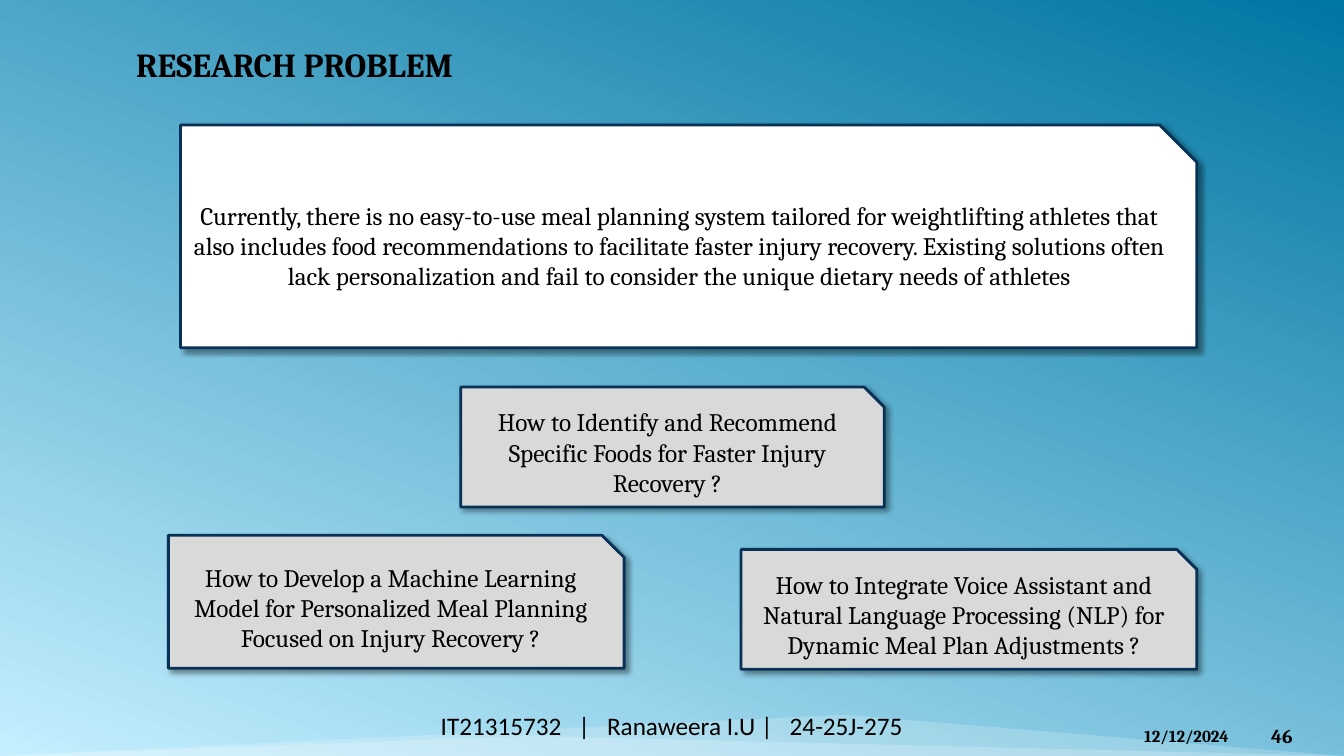
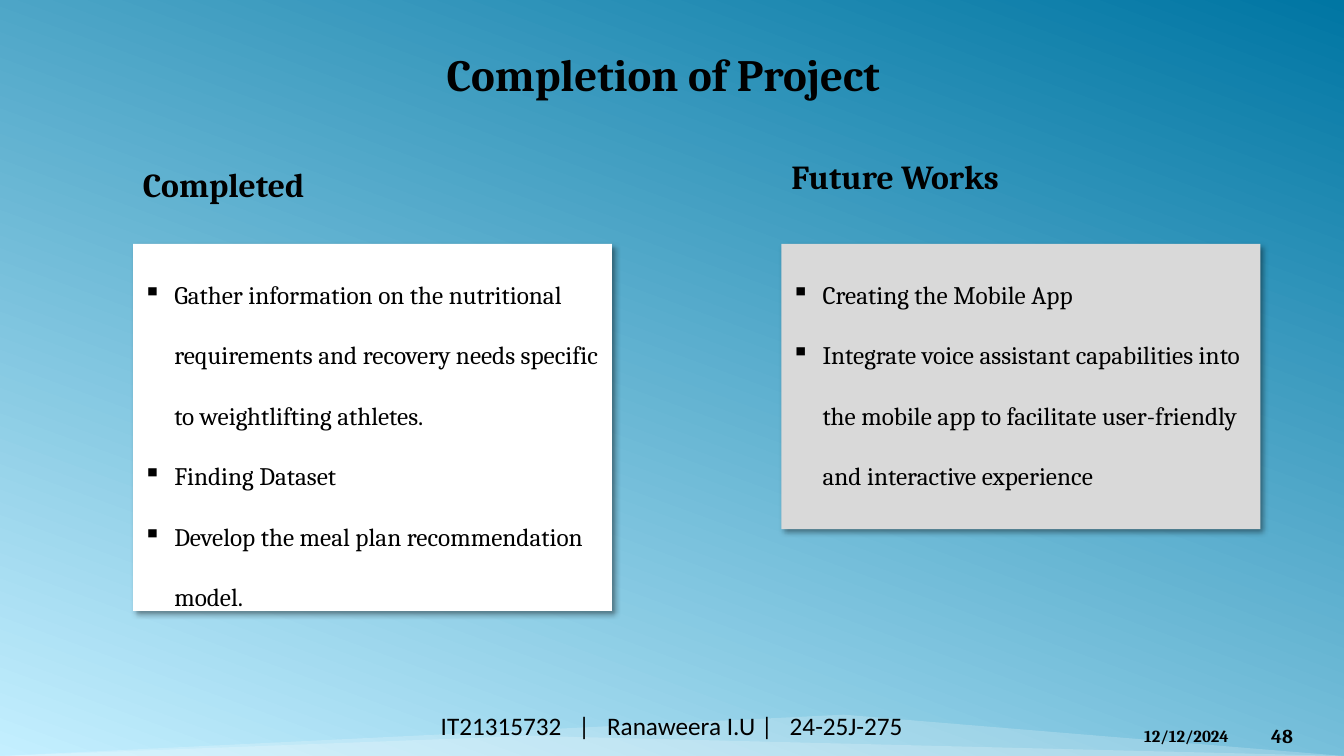
import lxml.etree
import pptx
import pptx.dml.color
import pptx.enum.shapes
import pptx.enum.text
import pptx.oxml
import pptx.oxml.ns
import pptx.util

Inches = pptx.util.Inches
Pt = pptx.util.Pt
SHAPES = pptx.enum.shapes.MSO_SHAPE
ALIGN = pptx.enum.text.PP_ALIGN
ANCHOR = pptx.enum.text.MSO_ANCHOR
qn = pptx.oxml.ns.qn

WHITE, GREY, BLACK, NAVY = "FFFFFF", "D9D9D9", "000000", "073157"
SKY_TOP, SKY_BOTTOM = "0076A3", "C4EFFF"
BODY = {"name": "Cambria", "size": Pt(18), "bold": False}
HEADING = {**BODY, "size": Pt(24), "bold": True}
LARGE_TITLE = {**HEADING, "size": Pt(32)}
DATE = {**HEADING, "size": Pt(12)}
NUMBER = {**HEADING, "size": Pt(14)}
FOOTER = {**BODY, "name": "Calibri"}


def color(value):
    return pptx.dml.color.RGBColor.from_string(value)


def add_element(parent, tag, **attributes):
    values = {name: str(value) for name, value in attributes.items()}
    return lxml.etree.SubElement(parent, qn(tag), values)


class Deck:
    def __init__(self):
        self.presentation = pptx.Presentation()
        self.presentation.slide_width = Inches(13.33)
        self.presentation.slide_height = Inches(7.5)
        self.slide = None
        fill = self.presentation.slide_master.background.fill
        fill.gradient()
        fill.gradient_angle = 250
        for stop, value in zip(fill.gradient_stops, (SKY_TOP, SKY_BOTTOM)):
            stop.color.rgb = color(value)

    def add_slide(self, title, box, style, number):
        layout = self.presentation.slide_layouts[5]
        self.slide = self.presentation.slides.add_slide(layout)
        self.band(7.09, 0.41, 0.628)
        self.band(7.3, 0.2, 0.394)
        self.text("12/12/2024", (11.25, 7.15, 1.17, 0.3), DATE)
        self.text(number, (12.51, 7.1, 0.74, 0.4), NUMBER, anchor=ANCHOR.MIDDLE)
        self.text("IT21315732   |   Ranaweera I.U |   24-25J-275",
                  (3.33, 7, 6.67, 0.4), FOOTER, ALIGN.CENTER)
        shape = self.slide.shapes.title
        shape.left, shape.top, shape.width, shape.height = map(Inches, box)
        self.fill_text(shape, [title], style)

    def fill_text(self, shape, lines, style, align=ALIGN.LEFT, anchor=ANCHOR.TOP,
                  bullets=False):
        frame = shape.text_frame
        frame.word_wrap = True
        frame.auto_size = pptx.enum.text.MSO_AUTO_SIZE.NONE
        frame.vertical_anchor = anchor
        for index, line in enumerate(lines):
            paragraph = frame.add_paragraph() if index else frame.paragraphs[0]
            paragraph.text = line
            paragraph.alignment = align
            if bullets:
                paragraph.line_spacing = 2.0
                properties = paragraph._p.get_or_add_pPr()
                properties.set("marL", str(Inches(0.31)))
                properties.set("indent", str(Inches(-0.31)))
                add_element(properties, "a:buChar", char="▪")
            for name, value in style.items():
                setattr(paragraph.font, name, value)
            paragraph.font.color.rgb = color(BLACK)

    def text(self, line, box, style, align=ALIGN.LEFT, anchor=ANCHOR.TOP):
        shape = self.slide.shapes.add_textbox(*map(Inches, box))
        self.fill_text(shape, [line], style, align, anchor)

    def shape(self, kind, box, fill, outline=None):
        shape = self.slide.shapes.add_shape(kind, *map(Inches, box))
        shape.shadow.inherit = False
        shape.fill.solid()
        shape.fill.fore_color.rgb = color(fill)
        if outline:
            shape.line.color.rgb = color(outline)
            shape.line.width = Pt(2)
        else:
            shape.line.fill.background()
        return shape

    def band(self, top, height, peak):
        shape = self.shape(SHAPES.ISOSCELES_TRIANGLE, (0, top, 13.33, height), WHITE)
        shape.adjustments[0] = peak
        solid = shape._element.spPr.find(qn("a:solidFill"))
        add_element(solid[0], "a:alpha", val=20000)

    def add_shadow(self, shape):
        effects = shape._element.spPr.find(qn("a:effectLst"))
        shadow = add_element(effects, "a:outerShdw", blurRad=Pt(4), dist=Pt(3),
                             dir=45 * 60000, algn="tl", rotWithShape=0)
        tint = add_element(shadow, "a:srgbClr", val=BLACK)
        add_element(tint, "a:alpha", val=40000)

    def card(self, line, box, fill=GREY):
        shape = self.shape(SHAPES.SNIP_1_RECTANGLE, box, fill, NAVY)
        self.add_shadow(shape)
        self.fill_text(shape, [line], BODY, ALIGN.CENTER, ANCHOR.MIDDLE)

    def bullet_panel(self, lines, box, fill):
        shape = self.shape(SHAPES.RECTANGLE, box, fill)
        self.add_shadow(shape)
        self.fill_text(shape, lines, BODY, bullets=True)


def build_research_problem(deck):
    deck.add_slide("RESEARCH PROBLEM", (1.25, 0.39, 6.67, 0.5), HEADING, "46")
    deck.card("How to Develop a Machine Learning Model for Personalized Meal "
              "Planning Focused on Injury Recovery ?", (1.67, 5.31, 4.52, 1.32))
    deck.card("How to Integrate Voice Assistant and Natural Language Processing "
              "(NLP) for Dynamic Meal Plan Adjustments ?", (7.35, 5.45, 4.52, 1.19))
    deck.card("How to Identify and Recommend Specific Foods for Faster Injury "
              "Recovery ?", (4.57, 3.84, 4.2, 1.19))
    deck.card("Currently, there is no easy-to-use meal planning system tailored for "
              "weightlifting athletes that also includes food recommendations to "
              "facilitate faster injury recovery. Existing solutions often lack "
              "personalization and fail to consider the unique dietary needs of "
              "athletes", (1.79, 1.24, 10.08, 2.21), WHITE)


def build_completion(deck):
    deck.add_slide("Completion of Project", (4.33, 0.41, 5.17, 0.64), LARGE_TITLE, "48")
    deck.text("Completed", (1.32, 1.58, 2.67, 0.5), HEADING)
    deck.bullet_panel([
        "Gather information on the nutritional requirements and recovery needs "
        "specific to weightlifting athletes.",
        "Finding Dataset",
        "Develop the meal plan recommendation model.",
    ], (1.32, 2.42, 4.75, 3.64), WHITE)
    deck.text("Future Works", (7.75, 1.5, 4.26, 0.5), HEADING)
    deck.bullet_panel([
        "Creating the Mobile App",
        "Integrate voice assistant capabilities into the mobile app to facilitate "
        "user-friendly and interactive experience",
    ], (7.75, 2.42, 4.75, 2.83), GREY)


def main():
    deck = Deck()
    build_research_problem(deck)
    build_completion(deck)
    deck.presentation.save("out.pptx")


if __name__ == "__main__":
    main()
